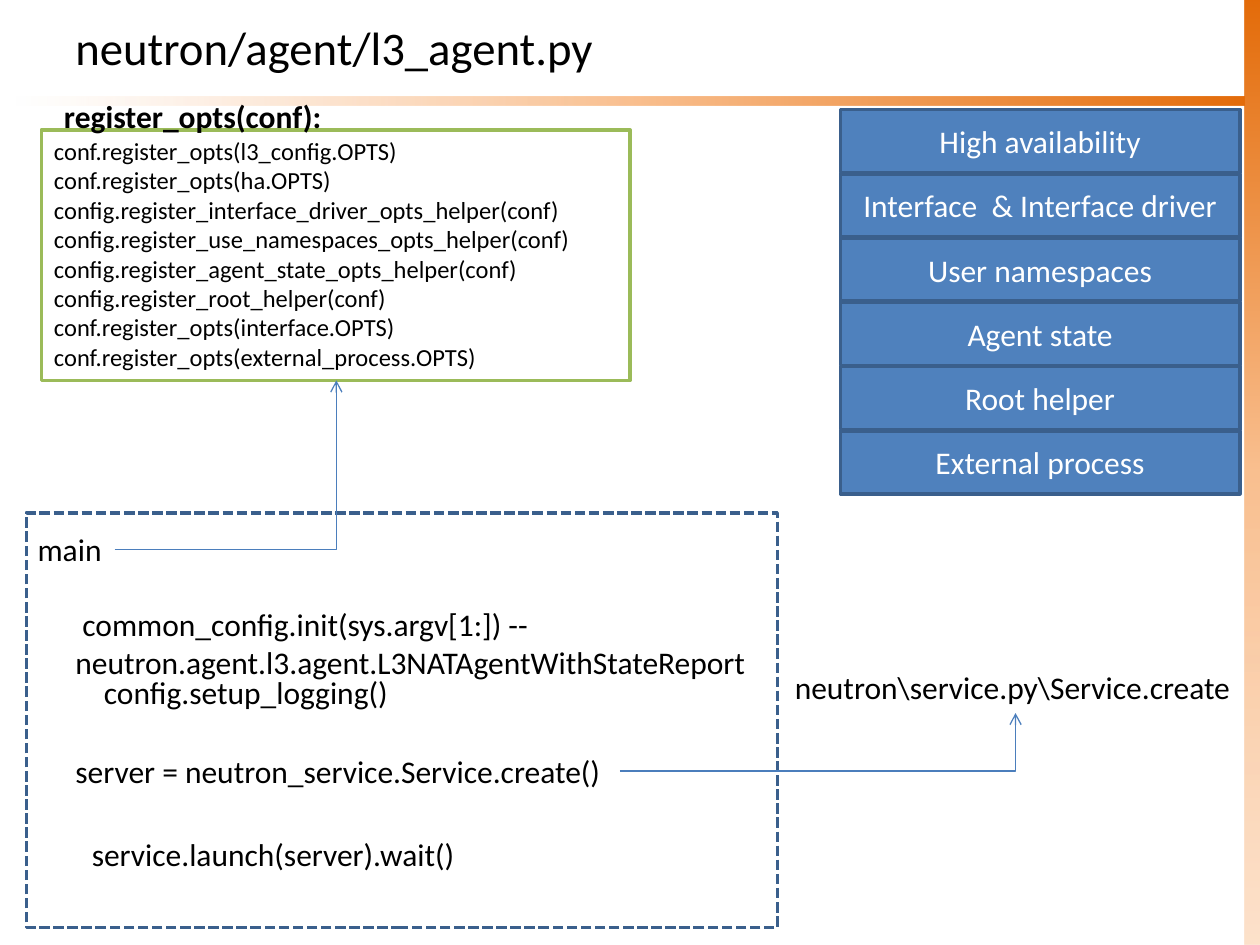
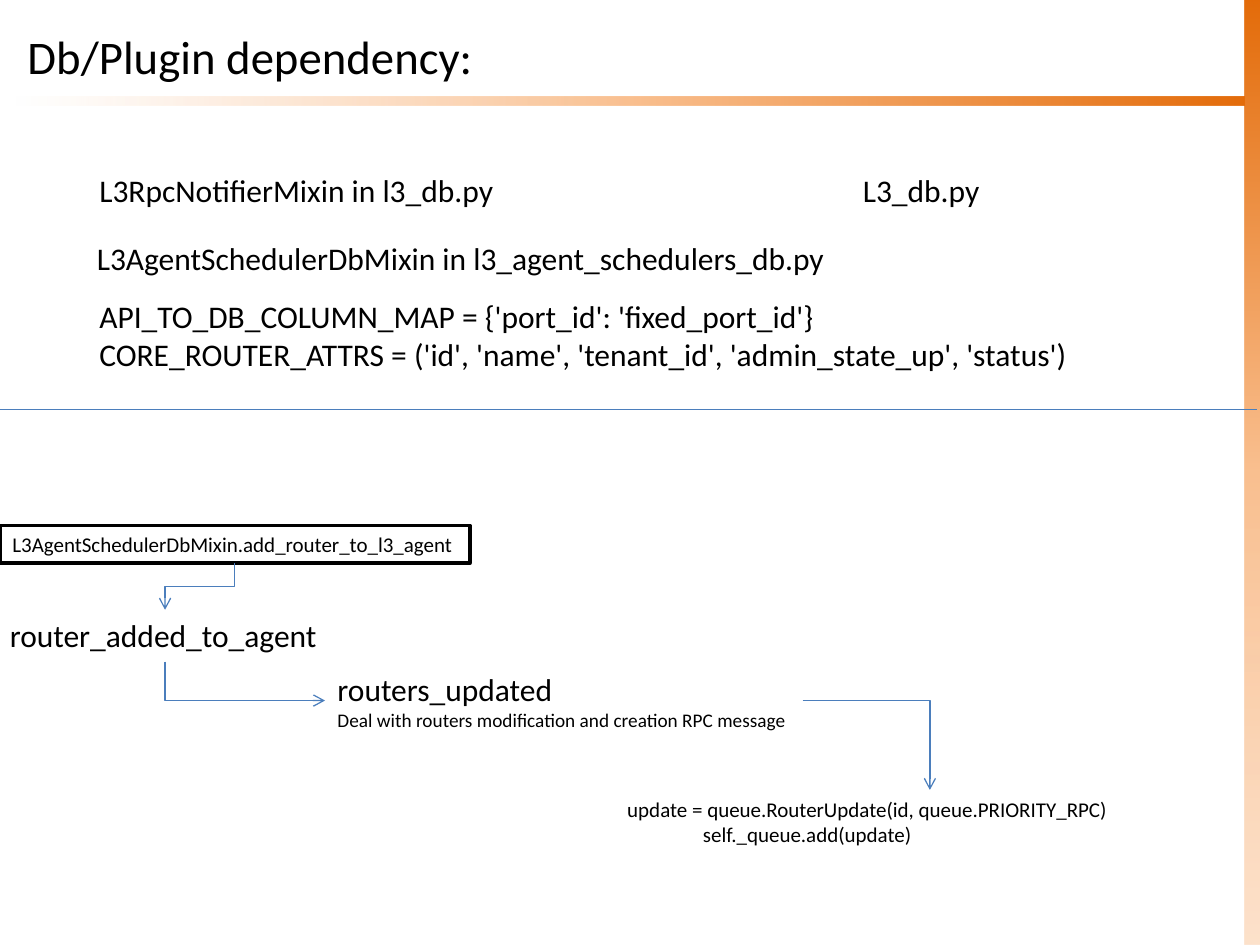
from dataclasses import dataclass

from lxml import etree
from pptx import Presentation
from pptx import util as u
from pptx.dml.color import RGBColor
from pptx.enum import dml, shapes, text
from pptx.oxml import ns


@dataclass(frozen=True)
class Theme:
    font: str = "Calibri"
    ink: str = "000000"
    paper: str = "FFFFFF"
    block: str = "4F81BD"
    block_edge: str = "3A5F8C"
    options_edge: str = "9BBB59"
    arrow: str = "4B7EBC"
    band: tuple = ("E46C0A", "FAC090", "FCD5B5")
    title: float = 26.7
    body: float = 18
    options: float = 14
    small: float = 12
    note: float = 11
    edge: float = 2
    thin: float = 0.75


T = Theme()

# Slide 1: each call is (left, top, width, height), wraps, bold, text
AGENT_TITLE = ((0.5, -0.25, 9, 1.25), "neutron/agent/l3_agent.py")
OPTIONS_BOX = (0.33, 1.03, 4.67, 1.99)
OPTIONS = [
    "conf.register_opts(l3_config.OPTS)",
    "conf.register_opts(ha.OPTS)",
    "config.register_interface_driver_opts_helper(conf)",
    "config.register_use_namespaces_opts_helper(conf)",
    "config.register_agent_state_opts_helper(conf)",
    "config.register_root_helper(conf)",
    "conf.register_opts(interface.OPTS)",
    "conf.register_opts(external_process.OPTS)",
]
TOPIC_STACK = {"left": 6.67, "top": 0.87, "width": 3.17, "height": 0.5, "pitch": 0.51}
TOPICS = [
    "High availability",
    "Interface  & Interface driver",
    "User namespaces",
    "Agent state",
    "Root helper",
    "External process",
]
MAIN_FRAME = (0.21, 4.07, 5.96, 3.29)
MAIN_CALLS = [
    ((0.2, 4.16, 0.72, 0.4), False, False, "main"),
    ((0.41, 0.72, 2.26, 0.4), False, True, "register_opts(conf):"),
    ((0.5, 4.75, 5.67, 0.71), True, False,
     " common_config.init(sys.argv[1:]) -- neutron.agent.l3.agent.L3NATAgentWithStateReport"),
    ((0.67, 5.29, 2.54, 0.4), False, False, " config.setup_logging()"),
    ((0.5, 5.92, 4.42, 0.4), False, False, "server = neutron_service.Service.create()"),
    ((0.63, 6.58, 3.11, 0.4), False, False, "service.launch(server).wait()"),
    ((6.21, 5.25, 3.7, 0.4), False, False, "neutron\\service.py\\Service.create"),
]
MAIN_ARROWS = [((0.91, 4.36), (2.67, 3.02)), ((4.92, 6.12), (8.06, 5.66))]

# Slide 2: each note is (left, top, width, height), wraps, [(text, size), ...]
PLUGIN_TITLE = ((0.12, 0.13, 9.76, 0.63), "Db/Plugin dependency:")
PLUGIN_NOTES = [
    ((0.69, 1.31, 3.37, 0.4), False, [("L3RpcNotifierMixin in l3_db.py", T.body)]),
    ((0.67, 1.85, 6.05, 0.4), False,
     [("L3AgentSchedulerDbMixin in l3_agent_schedulers_db.py", T.body)]),
    ((2.58, 5.27, 3.79, 0.59), True,
     [("routers_updated", T.body),
      ("Deal with routers modification and creation RPC message", T.note)]),
    ((-0.02, 4.84, 2.67, 0.4), False, [("router_added_to_agent", T.body)]),
    ((4.88, 6.27, 5, 0.5), True,
     [("update = queue.RouterUpdate(id, queue.PRIORITY_RPC)", T.small),
      ("                self._queue.add(update)", T.small)]),
    ((0.69, 2.31, 8.23, 0.71), True,
     [("API_TO_DB_COLUMN_MAP = {'port_id': 'fixed_port_id'}", T.body),
      ("CORE_ROUTER_ATTRS = ('id', 'name', 'tenant_id', 'admin_state_up', 'status')", T.body)]),
    ((6.75, 1.31, 1.14, 0.4), False, [("L3_db.py", T.body)]),
]
DIVIDER = ((0, 3.25), (9.98, 3.25))
ENTRY_BOX = (0, 4.17, 3.73, 0.3)
ENTRY_CALL = "L3AgentSchedulerDbMixin.add_router_to_l3_agent"
# Each arrow is start, end, leaves downwards, number of bends
FLOW_ARROWS = [
    ((1.31, 5.25), (2.58, 5.56), True, 1),
    ((6.37, 5.56), (7.38, 6.27), False, 1),
    ((1.86, 4.47), (1.31, 4.84), True, 2),
]


def inches(values):
    return [u.Inches(value) for value in values]


def write(shape, lines, color=T.ink, bold=False, wrap=True, grow=False,
          anchor=text.MSO_ANCHOR.TOP, align=text.PP_ALIGN.LEFT):
    """Fill a shape with (text, size) lines, one paragraph each."""
    frame = shape.text_frame
    frame.word_wrap = wrap
    frame.auto_size = (text.MSO_AUTO_SIZE.SHAPE_TO_FIT_TEXT if grow
                       else text.MSO_AUTO_SIZE.NONE)
    frame.vertical_anchor = anchor
    for index, (words, size) in enumerate(lines):
        paragraph = frame.add_paragraph() if index else frame.paragraphs[0]
        paragraph.alignment = align
        run = paragraph.add_run()
        run.text = words
        run.font.name = T.font
        run.font.size = u.Pt(size)
        run.font.bold = bold
        run.font.color.rgb = RGBColor.from_string(color)


def add_note(slide, place, lines, **style):
    write(slide.shapes.add_textbox(*inches(place)), lines, grow=True, **style)


def add_box(slide, place, fill=None, edge=None):
    box = slide.shapes.add_shape(shapes.MSO_SHAPE.RECTANGLE, *inches(place))
    box.shadow.inherit = False
    if fill:
        box.fill.solid()
        box.fill.fore_color.rgb = RGBColor.from_string(fill)
    else:
        box.fill.background()
    if edge:
        box.line.color.rgb = RGBColor.from_string(edge)
        box.line.width = u.Pt(T.edge)
    else:
        box.line.fill.background()
    return box


def add_band(slide, place, angle, end_opacity):
    """Add an edgeless bar that fades through the band colours."""
    properties = add_box(slide, place)._element.spPr
    gradient = etree.Element(ns.qn("a:gradFill"), rotWithShape="1")
    stops = etree.SubElement(gradient, ns.qn("a:gsLst"))
    for position, color in zip((0, 50, 100), T.band):
        stop = etree.SubElement(stops, ns.qn("a:gs"), pos=str(position * 1000))
        tint = etree.SubElement(stop, ns.qn("a:srgbClr"), val=color)
        if position == 100:
            etree.SubElement(tint, ns.qn("a:alpha"), val=str(end_opacity * 1000))
    etree.SubElement(gradient, ns.qn("a:lin"), ang=str(angle * 60000), scaled="0")
    properties.replace(properties.find(ns.qn("a:noFill")), gradient)


def add_line(slide, kind, start, end, arrow=False):
    line = slide.shapes.add_connector(kind, *inches((*start, *end)))
    line.line.color.rgb = RGBColor.from_string(T.arrow)
    line.line.width = u.Pt(T.thin)
    properties = line._element.spPr
    if arrow:
        etree.SubElement(properties.find(ns.qn("a:ln")), ns.qn("a:tailEnd"), type="arrow")
    etree.SubElement(properties, ns.qn("a:effectLst"))
    return properties


def add_elbow(slide, start, end, downwards=False, bends=1):
    """Add a bent arrow; one that leaves downwards is a turned sideways one."""
    (x1, y1), (x2, y2) = start, end
    rightwards = x2 > x1
    if downwards:
        center_x, center_y = (x1 + x2) / 2, (y1 + y2) / 2
        half_w, half_h = abs(y2 - y1) / 2, abs(x2 - x1) / 2
        side = half_w if rightwards else -half_w
        start = (center_x + side, center_y - half_h)
        end = (center_x - side, center_y + half_h)
    properties = add_line(slide, shapes.MSO_CONNECTOR.ELBOW, start, end, arrow=True)
    properties.find(ns.qn("a:prstGeom")).set("prst", f"bentConnector{bends + 1}")
    if downwards:
        turn = 270 if rightwards else 90
        properties.find(ns.qn("a:xfrm")).set("rot", str(turn * 60000))


def start_slide(deck, place, title):
    """Add a blank slide with the shared bands and title style."""
    slide = deck.slides.add_slide(deck.slide_layouts[6])
    add_band(slide, (9.88, 0, 0.12, 7.5), angle=90, end_opacity=69)
    add_band(slide, (0.12, 0.77, 9.76, 0.07), angle=180, end_opacity=0)
    write(slide.shapes.add_textbox(*inches(place)), [(title, T.title)],
          anchor=text.MSO_ANCHOR.MIDDLE)
    return slide


def build_agent_slide(deck):
    slide = start_slide(deck, *AGENT_TITLE)
    write(add_box(slide, OPTIONS_BOX, T.paper, T.options_edge),
          [(option, T.options) for option in OPTIONS], grow=True)
    stack = TOPIC_STACK
    for row, topic in enumerate(TOPICS):
        place = (stack["left"], stack["top"] + row * stack["pitch"],
                 stack["width"], stack["height"])
        write(add_box(slide, place, T.block, T.block_edge), [(topic, T.body)],
              color=T.paper, anchor=text.MSO_ANCHOR.MIDDLE, align=text.PP_ALIGN.CENTER)
    main_frame = add_box(slide, MAIN_FRAME, edge=T.block_edge)
    main_frame.line.dash_style = dml.MSO_LINE.SQUARE_DOT
    for place, wrap, bold, call in MAIN_CALLS:
        add_note(slide, place, [(call, T.body)], wrap=wrap, bold=bold)
    for start, end in MAIN_ARROWS:
        add_elbow(slide, start, end)


def build_plugin_slide(deck):
    slide = start_slide(deck, *PLUGIN_TITLE)
    for place, wrap, lines in PLUGIN_NOTES:
        add_note(slide, place, lines, wrap=wrap)
    add_line(slide, shapes.MSO_CONNECTOR.STRAIGHT, *DIVIDER)
    write(add_box(slide, ENTRY_BOX, T.paper, T.ink), [(ENTRY_CALL, T.small)],
          wrap=False, grow=True)
    for arrow in FLOW_ARROWS:
        add_elbow(slide, *arrow)


def main():
    deck = Presentation()
    deck.slide_width, deck.slide_height = inches((10, 7.5))
    build_agent_slide(deck)
    build_plugin_slide(deck)
    deck.save("out.pptx")


if __name__ == "__main__":
    main()
